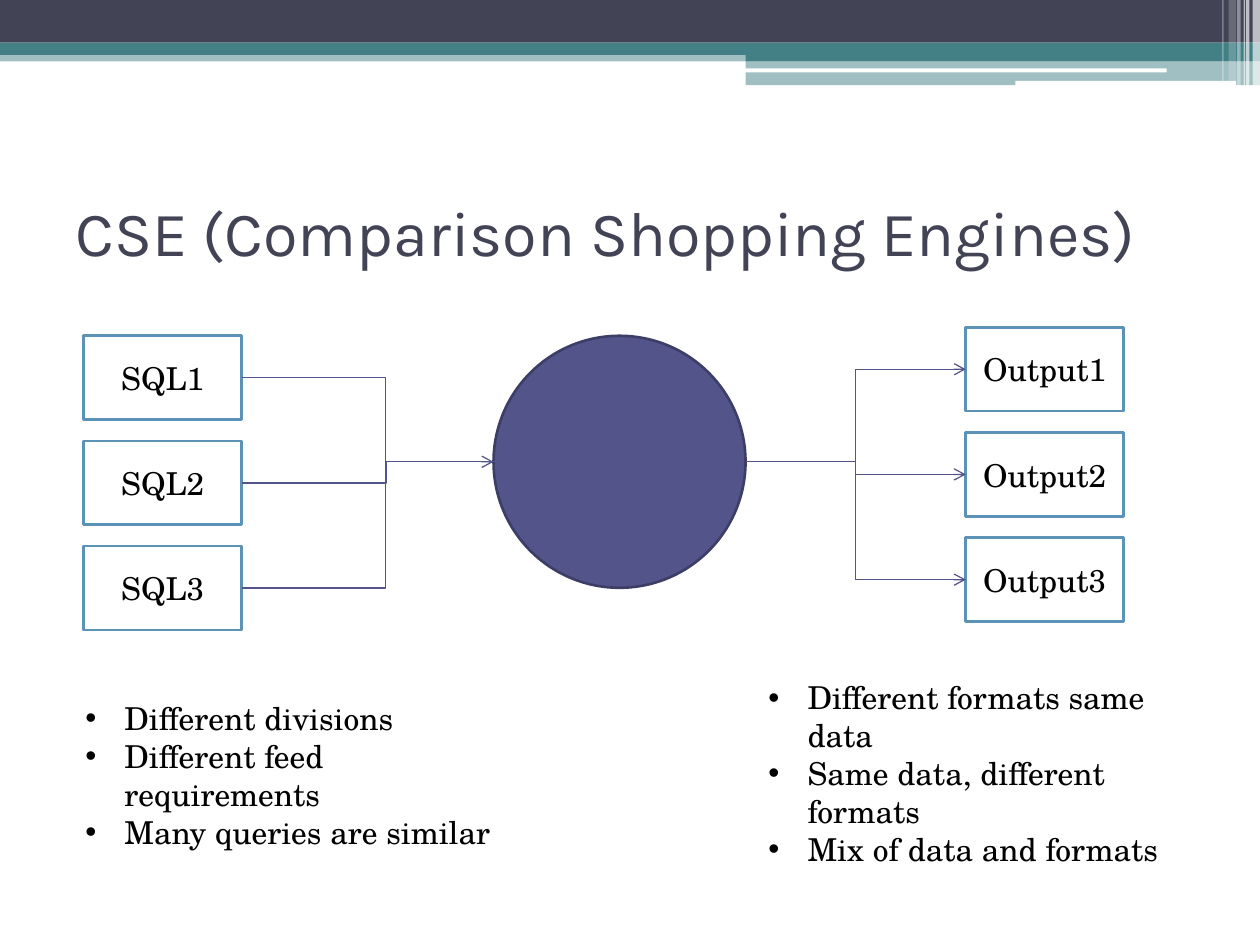
import pptx
import pptx.dml.color
import pptx.enum.shapes
import pptx.enum.text
import pptx.oxml.ns
import pptx.util
from lxml import etree
from pptx.util import Cm

SHAPES = pptx.enum.shapes.MSO_SHAPE
ALIGN = pptx.enum.text.PP_ALIGN
ANCHOR = pptx.enum.text.MSO_ANCHOR
AUTO_SIZE = pptx.enum.text.MSO_AUTO_SIZE
BODY_FONT = "TeX Gyre Schola"
TITLE_FONT = "Karla"
DARK, TEAL, WHITE, BLACK = "424456", "438086", "FFFFFF", "000000"
INDIGO, INDIGO_EDGE, BOX_EDGE = "53548A", "3D3E66", "5C92B5"

BOX_WIDTH, BOX_HEIGHT, BOX_PITCH = 3.18, 1.69, 2.12
SQL_LEFT, SQL_TOP = 1.69, 6.77
OUTPUT_LEFT, OUTPUT_TOP = 19.47, 6.6
CIRCLE_LEFT, CIRCLE_TOP, CIRCLE_SIZE = 9.95, 6.77, 5.08
SQL_ELBOW = 7.78
SQL_LINE_ENDS = (10.7, 9.95, 10.37)

BANDS = [
    (0, 1.01, 25.4, 0.23, TEAL, 50),
    (0, 0, 25.4, 0.86, DARK, 100),
    (0, 0.86, 25.4, 0.25, TEAL, 100),
    (15.03, 0.99, 10.37, 0.24, TEAL, 100),
    (15.03, 1.23, 10.37, 0.49, TEAL, 50),
]
WHITE_BARS = [(15.01, 1.38, 8.51, 0.08), (20.47, 1.63, 4.45, 0.1)]
STRIPES = [
    (25.25, 0.15, 1.73, 65),
    (25.12, 0.07, 1.73, 65),
    (25.07, 0.03, 1.73, 60),
    (24.94, 0.07, 1.73, 40),
    (24.77, 0.15, 1.63, 20),
    (24.64, 0.03, 1.63, 30),
]


def color(value):
    return pptx.dml.color.RGBColor.from_string(value)


def add_child(parent, tag, **attributes):
    return etree.SubElement(parent, pptx.oxml.ns.qn(tag), attributes)


def add_run(paragraph, text, size=18, font=BODY_FONT, text_color=BLACK):
    run = paragraph.add_run()
    run.text = text
    run.font.size = pptx.util.Pt(size)
    run.font.name = font
    run.font.color.rgb = color(text_color)


def add_shape(slide, kind, left, top, width, height, fill, line=None, opacity=100):
    shape = slide.shapes.add_shape(kind, Cm(left), Cm(top), Cm(width), Cm(height))
    shape.shadow.inherit = False
    shape.fill.solid()
    shape.fill.fore_color.rgb = color(fill)
    if opacity < 100:
        fill_element = shape.element.spPr.find(".//" + pptx.oxml.ns.qn("a:srgbClr"))
        add_child(fill_element, "a:alpha", val=str(opacity * 1000))
    if line:
        shape.line.color.rgb = color(line)
        shape.line.width = pptx.util.Pt(1.5)
    else:
        shape.line.fill.background()
    return shape


def add_header(slide):
    for left, top, width, height, fill, opacity in BANDS:
        add_shape(slide, SHAPES.RECTANGLE, left, top, width, height, fill, opacity=opacity)
    for bar in WHITE_BARS:
        add_shape(slide, SHAPES.ROUNDED_RECTANGLE, *bar, WHITE)
    for left, width, height, opacity in STRIPES:
        add_shape(slide, SHAPES.RECTANGLE, left, 0, width, height, WHITE, opacity=opacity)


def set_title(slide, text):
    title = slide.shapes.title
    title.left, title.top, title.width, title.height = Cm(1.27), Cm(3.18), Cm(22.86), Cm(2.97)
    frame = title.text_frame
    frame.auto_size = AUTO_SIZE.NONE
    frame.vertical_anchor = ANCHOR.MIDDLE
    paragraph = frame.paragraphs[0]
    paragraph.alignment = ALIGN.LEFT
    add_run(paragraph, text, 36, TITLE_FONT, DARK)


def add_box_column(slide, label, left, top):
    for index in range(3):
        box = add_shape(slide, SHAPES.RECTANGLE, left, top + index * BOX_PITCH,
                        BOX_WIDTH, BOX_HEIGHT, WHITE, BOX_EDGE)
        box.text_frame.vertical_anchor = ANCHOR.MIDDLE
        paragraph = box.text_frame.paragraphs[0]
        paragraph.alignment = ALIGN.CENTER
        add_run(paragraph, f"{label}{index + 1}")


def add_bullets(slide, left, top, width, height, lines):
    text_box = slide.shapes.add_textbox(Cm(left), Cm(top), Cm(width), Cm(height))
    frame = text_box.text_frame
    frame.word_wrap = True
    frame.auto_size = AUTO_SIZE.SHAPE_TO_FIT_TEXT
    for index, line in enumerate(lines):
        paragraph = frame.add_paragraph() if index else frame.paragraphs[0]
        properties = paragraph._p.get_or_add_pPr()
        properties.set("marL", str(Cm(0.79)))
        properties.set("indent", str(-Cm(0.79)))
        add_child(properties, "a:buFont", typeface="Arial")
        add_child(properties, "a:buChar", char="•")
        add_run(paragraph, line)


def add_elbow_arrow(slide, start_x, start_y, elbow_x, end_x, end_y):
    connector = slide.shapes.add_connector(
        pptx.enum.shapes.MSO_CONNECTOR.ELBOW, Cm(start_x), Cm(start_y), Cm(end_x), Cm(end_y))
    connector.line.color.rgb = color(INDIGO)
    connector.line.width = pptx.util.Pt(0.75)
    properties = connector._element.spPr
    add_child(properties.find(pptx.oxml.ns.qn("a:ln")), "a:tailEnd", type="arrow")
    add_child(properties, "a:effectLst")
    bend = round((elbow_x - start_x) / (end_x - start_x) * 100000)
    guides = properties.find(".//" + pptx.oxml.ns.qn("a:avLst"))
    add_child(guides, "a:gd", name="adj1", fmla=f"val {bend}")


def add_flow_arrows(slide):
    circle_right = CIRCLE_LEFT + CIRCLE_SIZE
    circle_middle = CIRCLE_TOP + CIRCLE_SIZE / 2
    output_elbow = (circle_right + OUTPUT_LEFT) / 2
    for index, line_end in enumerate(SQL_LINE_ENDS):
        box_middle = BOX_HEIGHT / 2 + index * BOX_PITCH
        add_elbow_arrow(slide, SQL_LEFT + BOX_WIDTH, SQL_TOP + box_middle,
                        SQL_ELBOW, line_end, circle_middle)
        add_elbow_arrow(slide, circle_right, circle_middle,
                        output_elbow, OUTPUT_LEFT, OUTPUT_TOP + box_middle)


def main():
    presentation = pptx.Presentation()
    presentation.slide_width, presentation.slide_height = Cm(25.4), Cm(19.05)
    slide = presentation.slides.add_slide(presentation.slide_layouts[5])
    add_header(slide)
    set_title(slide, "CSE (Comparison Shopping Engines)")
    add_box_column(slide, "SQL", SQL_LEFT, SQL_TOP)
    add_bullets(slide, 1.47, 13.97, 9.22, 2.57, [
        "Different divisions", "Different feed requirements", "Many queries are similar"])
    add_box_column(slide, "Output", OUTPUT_LEFT, OUTPUT_TOP)
    add_bullets(slide, 15.24, 13.55, 9.42, 3.33, [
        "Different formats same data", "Same data, different formats", "Mix of data and formats"])
    add_shape(slide, SHAPES.OVAL, CIRCLE_LEFT, CIRCLE_TOP, CIRCLE_SIZE, CIRCLE_SIZE,
              INDIGO, INDIGO_EDGE)
    add_flow_arrows(slide)
    presentation.save("out.pptx")


if __name__ == "__main__":
    main()
